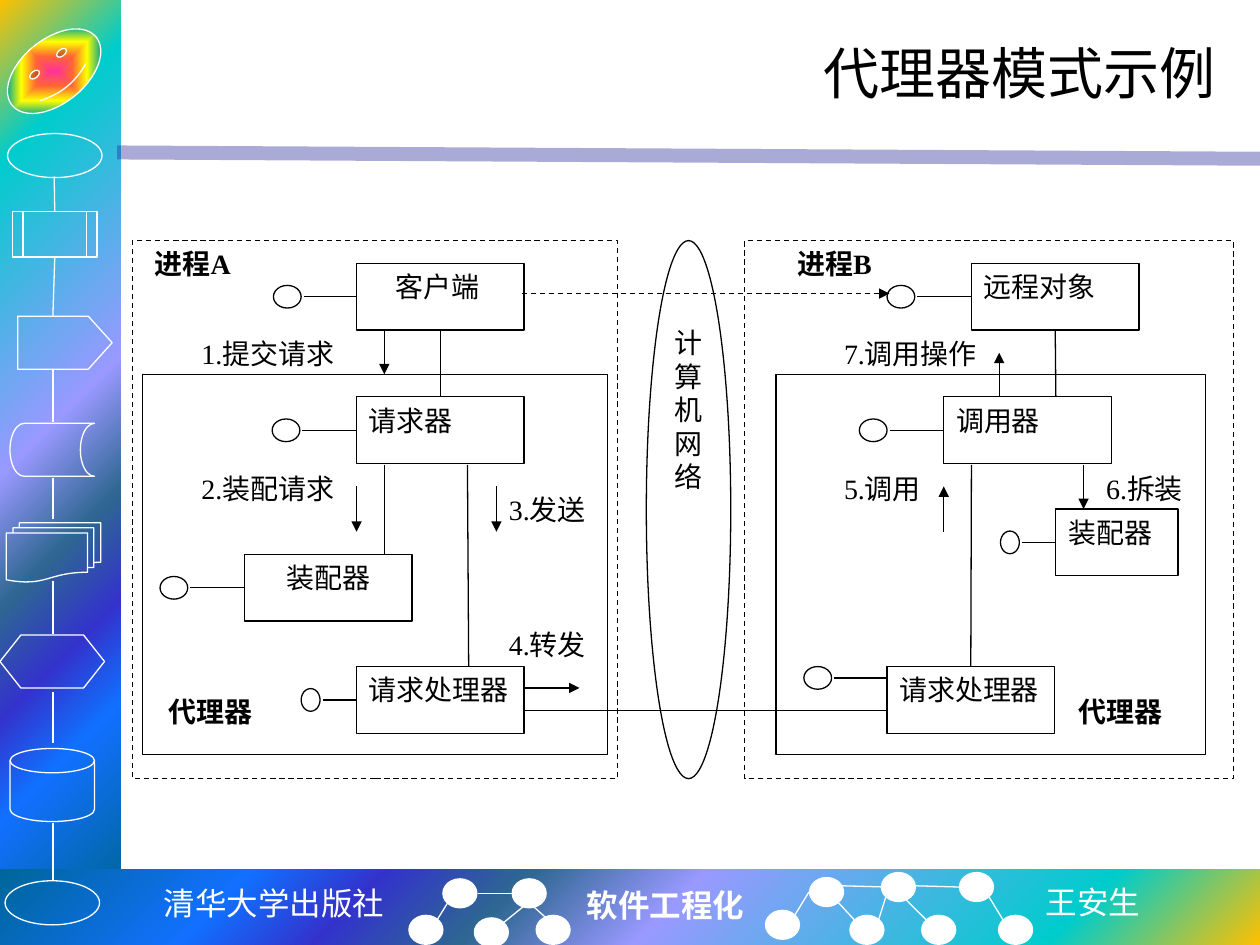
"""Build the broker pattern example slide with its decorated frame."""
from pptx import Presentation
from pptx.dml.color import RGBColor
from pptx.enum.dml import MSO_LINE
from pptx.enum.shapes import MSO_CONNECTOR, MSO_SHAPE
from pptx.enum.text import MSO_ANCHOR, MSO_AUTO_SIZE, PP_ALIGN
from pptx.oxml import parse_xml
from pptx.oxml.ns import nsdecls, qn
from pptx.util import Cm, Pt

RECT, OVAL = MSO_SHAPE.RECTANGLE, MSO_SHAPE.OVAL
LEFT, CENTER, RIGHT = PP_ALIGN.LEFT, PP_ALIGN.CENTER, PP_ALIGN.RIGHT
TOP, MIDDLE = MSO_ANCHOR.TOP, MSO_ANCHOR.MIDDLE
STRAIGHT, DASH = MSO_CONNECTOR.STRAIGHT, MSO_LINE.DASH
FIT_TEXT = MSO_AUTO_SIZE.SHAPE_TO_FIT_TEXT
INCH = 2.54
BLACK, WHITE = "000000", "FFFFFF"
SERIF = "Times New Roman"
BOX_HEIGHT = 0.53

deck = Presentation()
deck.slide_width, deck.slide_height = Cm(25.4), Cm(19.05)
page = deck.slides.add_slide(deck.slide_layouts[6])


def add_box(kind, place, text="", align=LEFT, size=16, font=SERIF, bold=False,
            color=BLACK, line=None, dash=False, fill=None, anchor=TOP):
    place = [Cm(INCH * value) for value in place]
    if kind is None:
        box = page.shapes.add_textbox(*place)
    else:
        box = page.shapes.add_shape(kind, *place)
        box.shadow.inherit = False
        box.fill.background()
        box.line.fill.background()
    if fill:
        box.fill.solid()
        box.fill.fore_color.rgb = RGBColor.from_string(fill)
    if line:
        box.line.color.rgb = RGBColor.from_string(line)
        box.line.width = Pt(0.75)
    if dash:
        box.line.dash_style = DASH
    if text:
        box.text_frame.word_wrap = True
        box.text_frame.vertical_anchor = anchor
        para = box.text_frame.paragraphs[0]
        para.alignment = align
        span = para.add_run()
        span.text = text
        span.font.name, span.font.size, span.font.bold = font, Pt(size), bold
        span.font.color.rgb = RGBColor.from_string(color)
    return box


def add_line(ends, color=BLACK, width=0.75, dash=False, arrow=False, start=None, end=None):
    link = page.shapes.add_connector(STRAIGHT, *[Cm(INCH * value) for value in ends])
    link.line.color.rgb = RGBColor.from_string(color)
    link.line.width = Pt(width)
    if dash:
        link.line.dash_style = DASH
    if arrow:
        link.line._get_or_add_ln().append(parse_xml(f'<a:tailEnd {nsdecls("a")} type="triangle"/>'))
    link._element.spPr.append(parse_xml(f'<a:effectLst {nsdecls("a")}/>'))
    if start:
        link.begin_connect(*start)
    if end:
        link.end_connect(*end)
    return link


frame_stops = [(0, "FFC000"), (16, "00CCCC"), (47, "9999FF"), (60, "2E6792"),
               (71, "3333CC"), (81, "1170FF"), (100, "006699")]
face_stops = [(0, "FF3399"), (25, "FF6633"), (50, "FFFF00"), (75, "01A78F"), (100, "3366FF")]
sidebar = add_box(RECT, (0, 0, 0.96, 7.09))
footer = add_box(RECT, (0, 6.9, 10, 0.6))
face = add_box(MSO_SHAPE.SMILEY_FACE, (0, 0.31, 0.86, 0.51), line=WHITE)
face.rotation = 321
for shape, stops, path, focus in [
    (sidebar, frame_stops, "circle", (0, 0, 100, 100)),
    (footer, frame_stops, "circle", (100, 100, 0, 0)),
    (face, face_stops, "shape", (50, 50, 50, 50)),
]:
    stop_xml = "".join(f'<a:gs pos="{pos * 1000}"><a:srgbClr val="{color}"/></a:gs>'
                       for pos, color in stops)
    focus_xml = " ".join(f'{side}="{value * 1000}"' for side, value in zip("ltrb", focus))
    gradient = parse_xml(
        f'<a:gradFill {nsdecls("a")} rotWithShape="1"><a:gsLst>{stop_xml}</a:gsLst>'
        f'<a:path path="{path}"><a:fillToRect {focus_xml}/></a:path></a:gradFill>')
    properties = shape._element.spPr
    properties.replace(properties.find(qn("a:noFill")), gradient)

rule = add_line((0.93, 1.21, 10, 1.26), "262699", 8)
rule_color = rule._element.spPr.find(".//" + qn("a:srgbClr"))
rule_color.append(parse_xml(f'<a:alpha {nsdecls("a")} val="39000"/>'))

for kind, place in [
    (OVAL, (0.06, 1.06, 0.75, 0.35)),
    (MSO_SHAPE.FLOWCHART_STORED_DATA, (0.08, 3.36, 0.67, 0.42)),
    (MSO_SHAPE.FLOWCHART_MULTIDOCUMENT, (0.05, 4.15, 0.75, 0.47)),
    (MSO_SHAPE.FLOWCHART_PREPARATION, (0, 5.04, 0.83, 0.42)),
    (MSO_SHAPE.FLOWCHART_MAGNETIC_DISK, (0.08, 5.94, 0.67, 0.58)),
    (OVAL, (0.04, 6.99, 0.75, 0.35)),
]:
    symbol = add_box(kind, place, line=WHITE)
    if kind == MSO_SHAPE.FLOWCHART_STORED_DATA:
        symbol._element.spPr.prstGeom.set("prst", "flowChartOnlineStorage")
pentagon = add_box(MSO_SHAPE.PENTAGON, (0.14, 2.51, 0.75, 0.42), line=WHITE)
pentagon.adjustments[0] = 0.45
process = add_box(MSO_SHAPE.FLOWCHART_PREDEFINED_PROCESS, (0.1, 1.68, 0.67, 0.36), line=WHITE)
add_line((0.43, 1.4, 0.43, 1.68), WHITE, end=(process, 0))
add_line((0.43, 2.05, 0.42, 2.51), WHITE, start=(process, 2))
for top, bottom in [(2.93, 3.35), (3.79, 4.12), (4.61, 5.03), (5.49, 5.9), (6.53, 6.99)]:
    add_line((0.42, top, 0.42, bottom), WHITE)

for left, top in [(3.51, 6.97), (4.06, 6.97), (3.24, 7.26), (3.76, 7.28), (4.25, 7.26),
                  (6.07, 7.22), (6.42, 6.96), (6.99, 6.92), (7.61, 6.92),
                  (6.74, 7.26), (7.31, 7.26), (7.92, 7.26)]:
    add_box(OVAL, (left, top, 0.28, 0.24), fill=WHITE)
for ends in [(3.47, 7.3, 3.55, 7.17), (4, 7.32, 4.16, 7.19), (4.06, 7.09, 3.79, 7.09),
             (4.34, 7.29, 4.24, 7.2), (6.31, 7.26, 6.42, 7.08), (6.78, 7.3, 6.65, 7.16),
             (6.68, 7.03, 7.03, 7.04), (6.97, 7.31, 7.03, 7.12), (7.35, 7.3, 7.15, 7.1),
             (7.26, 7.03, 7.61, 7.04), (7.96, 7.3, 7.85, 7.12)]:
    add_line(ends, WHITE)
for text, left, top, width, align, font, bold in [
    ("清华大学出版社", 1.19, 6.97, 1.97, CENTER, "Noto Sans Mono", False),
    ("软件工程化", 4.56, 6.98, 1.46, LEFT, SERIF, True),
    ("王安生", 8.2, 6.96, 0.96, LEFT, "Noto Sans CJK SC", False),
]:
    credit = add_box(None, (left, top, width, 0.4), text, align, 18, font, bold, WHITE)
    credit.text_frame.word_wrap = False
    credit.text_frame.auto_size = FIT_TEXT

add_box(None, (1.25, 0.17, 8.5, 0.81), "代理器模式示例", RIGHT, 32, anchor=MIDDLE)

for left, top, width, height, dash in [
    (1.05, 1.91, 3.85, 4.27, True), (1.13, 2.97, 3.69, 3.02, False),
    (5.91, 1.91, 3.88, 4.27, True), (6.16, 2.97, 3.41, 3.02, False),
]:
    add_box(RECT, (left, top, width, height), line=BLACK, dash=dash)

parts = {}
for name, text, left, top, width, align, ring_left, ring_width in [
    ("client", "客户端 ", 2.83, 2.09, 1.33, CENTER, 2.17, 0.22),
    ("requester", "请求器", 2.83, 3.15, 1.33, LEFT, 2.16, 0.22),
    ("marshaller", "装配器", 1.94, 4.4, 1.33, CENTER, 1.27, 0.22),
    ("sender", "请求处理器", 2.83, 5.29, 1.33, LEFT, 2.39, 0.15),
    ("remote", "远程对象", 7.71, 2.09, 1.33, LEFT, 7.04, 0.22),
    ("invoker", "调用器", 7.49, 3.15, 1.33, LEFT, 6.82, 0.22),
    ("unmarshaller", "装配器", 8.38, 4.04, 0.97, LEFT, 7.94, 0.15),
    ("receiver", "请求处理器", 7.04, 5.29, 1.33, LEFT, 6.38, 0.22),
]:
    box = add_box(RECT, (left, top, width, BOX_HEIGHT), text, align, line=BLACK)
    parts[name] = box
    centered = name != "receiver"
    stem = top + (BOX_HEIGHT / 2 if centered else 0.09)
    add_box(OVAL, (ring_left, stem - 0.09, ring_width, 0.18), line=BLACK)
    add_line((ring_left + ring_width + 0.02, stem, left, stem),
             end=(box, 1) if centered else None)

for text, left, top, width, bold in [
    ("1.提交请求", 1.5, 2.62, 1.55, False), ("2.装配请求", 1.5, 3.69, 1.55, False),
    ("3.发送", 3.94, 3.86, 1.11, False), ("4.转发", 3.94, 4.93, 1.11, False),
    ("5.调用", 6.6, 3.69, 1.11, False), ("6.拆装", 8.68, 3.69, 0.89, False),
    ("7.调用操作", 6.6, 2.62, 1.55, False),
    ("代理器", 1.24, 5.46, 1, True), ("代理器", 8.46, 5.46, 1.11, True),
    ("进程A", 1.13, 1.91, 1.55, True),
]:
    add_box(None, (left, top, width, BOX_HEIGHT), text, bold=bold)
process_b = add_box(None, (5.93, 1.91, 1.55, BOX_HEIGHT), "进程B", bold=True)
process_b.text_frame.paragraphs[0]._p.get_or_add_pPr().set("indent", str(Cm(0.76)))

for ends in [(3.05, 2.62, 3.05, 2.97), (2.83, 3.86, 2.83, 4.22), (3.94, 3.86, 3.94, 4.22),
             (4.16, 5.46, 4.6, 5.46), (7.93, 3.15, 7.93, 2.8), (7.49, 4.22, 7.49, 3.86),
             (8.6, 3.69, 8.6, 4.04)]:
    add_line(ends, arrow=True)
add_line((4.14, 2.33, 7.06, 2.33), dash=True, arrow=True)
for ends in [(3.05, 3.69, 3.05, 4.4), (3.71, 3.69, 3.72, 5.29), (4.16, 5.64, 7.04, 5.64)]:
    add_line(ends)
add_line((3.49, 2.62, 3.49, 3.15), start=(parts["client"], 2), end=(parts["requester"], 0))
add_line((8.38, 2.62, 8.38, 3.15), start=(parts["remote"], 2))
add_line((7.71, 3.69, 7.71, 5.29), end=(parts["receiver"], 0))
add_box(OVAL, (5.13, 1.91, 0.67, 4.27), "计 算 机 网 络", CENTER, line=BLACK)

deck.save("out.pptx")
